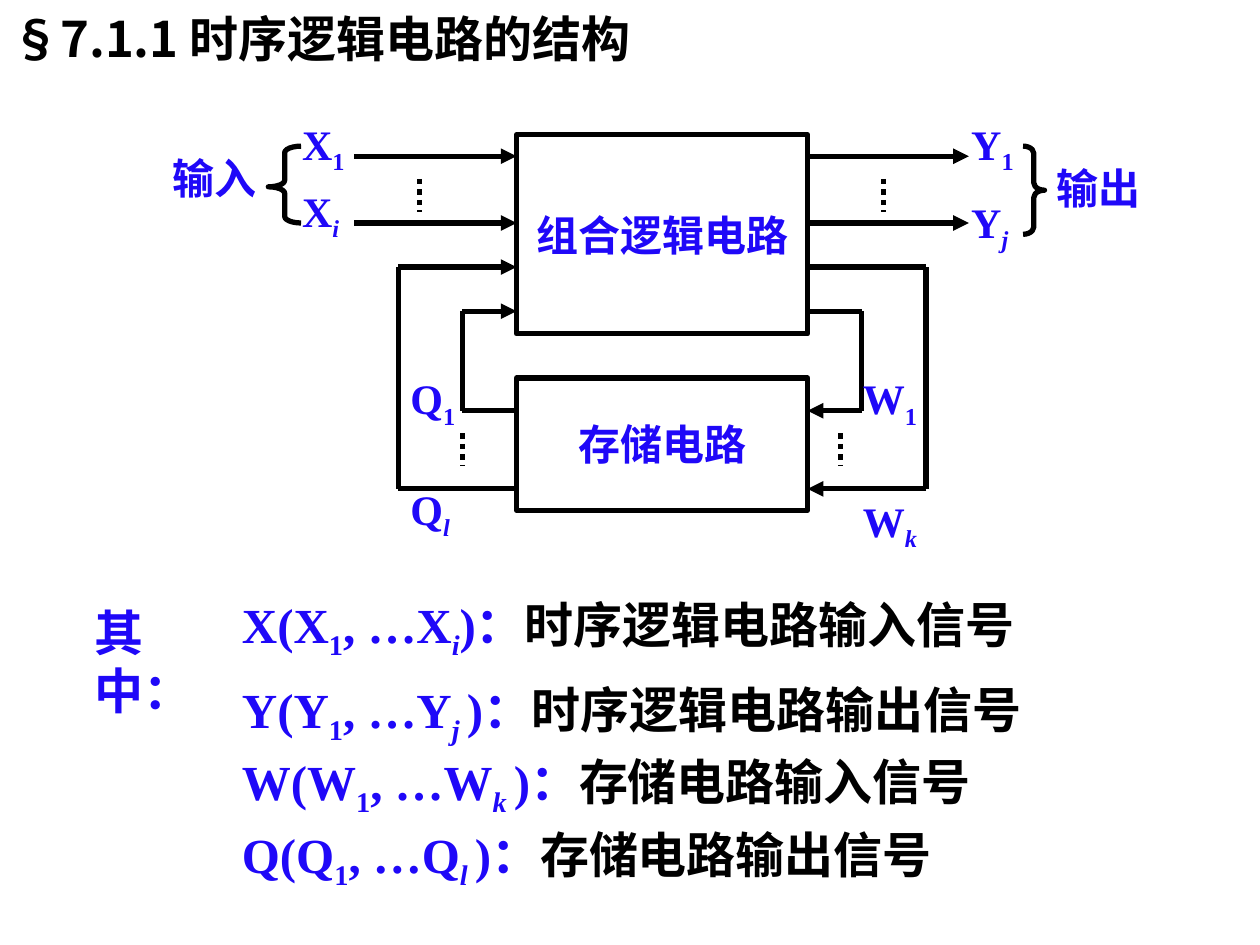
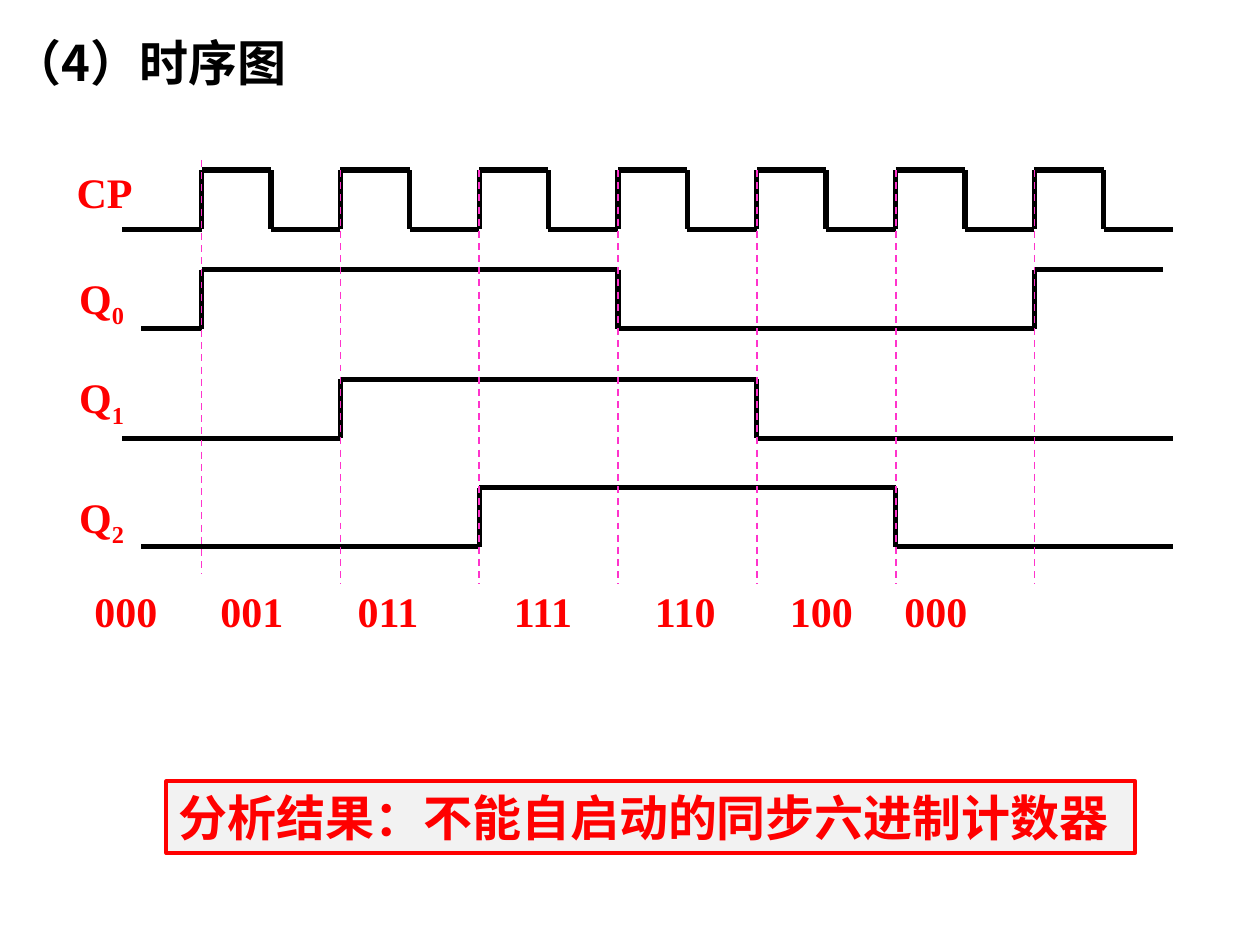
import pptx
import pptx.util
import pptx.dml.color
import pptx.enum.dml
import pptx.enum.shapes
import pptx.enum.text
import pptx.oxml.ns
from lxml import etree

Inches = pptx.util.Inches
Pt = pptx.util.Pt
Shape = pptx.enum.shapes.MSO_SHAPE
Dash = pptx.enum.dml.MSO_LINE
Align = pptx.enum.text.PP_ALIGN
Anchor = pptx.enum.text.MSO_ANCHOR

HUES = {"ink": "000000", "blue": "1F08F8", "red": "FF0000",
        "pink": "FF33CC", "pale": "F2F2F2"}
SANS, SERIF = "Noto Sans CJK SC", "Times New Roman"


class Deck:
    """Holds the style and the current slide, and draws each kind of element."""

    def __init__(self):
        self.prs = pptx.Presentation()
        self.prs.slide_width = Inches(10)
        self.prs.slide_height = Inches(7.5)

    def hue(self, name):
        return pptx.dml.color.RGBColor.from_string(HUES[name])

    def tag(self, parent, name, **attrs):
        return etree.SubElement(parent, pptx.oxml.ns.qn(name), attrs)

    def place(self, shape, box):
        shape.left, shape.top, shape.width, shape.height = map(Inches, box)

    def style(self, para, size, face, hue):
        font = para.font
        font.size, font.name, font.bold = Pt(size), face, True
        font.color.rgb = self.hue(hue)

    def spell(self, para, text):
        for i, part in enumerate(text.split("|")):
            run = para.add_run()
            run.text = part
            if i % 2:
                run.font._element.set("baseline", "-25000")
                if part.strip().isalpha():
                    run.font.italic = True

    def page(self, layout, title, box):
        self.slide = self.prs.slides.add_slide(self.prs.slide_layouts[layout])
        head = self.slide.shapes.title
        self.place(head, box)
        frame = head.text_frame
        frame.auto_size = pptx.enum.text.MSO_AUTO_SIZE.NONE
        frame.vertical_anchor = Anchor.TOP
        frame.text = title
        para = frame.paragraphs[0]
        para.alignment = Align.LEFT
        self.style(para, 28, SANS, "ink")

    def terms(self, box, rows, pitch):
        body = self.slide.placeholders[1]
        self.place(body, box)
        frame = body.text_frame
        frame.auto_size = pptx.enum.text.MSO_AUTO_SIZE.NONE
        for i, (term, note) in enumerate(rows):
            para = frame.add_paragraph() if i else frame.paragraphs[0]
            para.line_spacing = Pt(pitch)
            para.space_before = Pt(7 if i == 1 else 0)
            props = para._p.get_or_add_pPr()
            props.set("marL", "0")
            props.set("indent", "0")
            self.tag(props, "a:buNone")
            self.style(para, 28, SERIF, "blue")
            self.spell(para, term)
            run = para.add_run()
            run.text = note
            run.font.color.rgb = self.hue("ink")

    def label(self, x, y, text, hue, size=24, face=SERIF):
        box = self.slide.shapes.add_textbox(*map(Inches, (x, y, 0.9, 0.5)))
        box.text_frame.word_wrap = False
        para = box.text_frame.paragraphs[0]
        self.style(para, size, face, hue)
        self.spell(para, text)

    def shape(self, kind, box, line="ink", width=3, fill=None):
        shape = self.slide.shapes.add_shape(kind, *map(Inches, box))
        shape.shadow.inherit = False
        if fill:
            shape.fill.solid()
            shape.fill.fore_color.rgb = self.hue(fill)
        else:
            shape.fill.background()
        shape.line.color.rgb = self.hue(line)
        shape.line.width = Pt(width)
        return shape

    def block(self, box, text, hue, size=24, face=SERIF, align=Align.CENTER, **look):
        frame = self.shape(Shape.RECTANGLE, box, **look).text_frame
        frame.word_wrap = False
        frame.vertical_anchor = Anchor.MIDDLE
        para = frame.paragraphs[0]
        para.alignment = align
        self.style(para, size, face, hue)
        self.spell(para, text)

    def brace(self, kind, box, curl, tip):
        shape = self.shape(kind, box)
        shape.adjustments[0], shape.adjustments[1] = curl, tip

    def line(self, start, end, hue="ink", width=3, dash=None, arrow=False):
        line = self.slide.shapes.add_connector(
            pptx.enum.shapes.MSO_CONNECTOR.STRAIGHT, *map(Inches, start + end))
        line.line.color.rgb = self.hue(hue)
        line.line.width = Pt(width)
        if dash:
            line.line.dash_style = dash
        if arrow:
            self.tag(line.line._get_or_add_ln(), "a:tailEnd", type="triangle")
        self.tag(line._element.spPr, "a:effectLst")

    def wire(self, points, arrow=False):
        last = len(points) - 2
        for i, ends in enumerate(zip(points, points[1:])):
            self.line(*ends, arrow=arrow and i == last)


def scheme(deck):
    """Draw the block scheme of a sequential circuit."""
    deck.page(1, "§7.1.1 时序逻辑电路的结构", (-0.01, 0.02, 9.66, 0.7))
    left, right = 4.1, 6.41
    deck.block((left, 1.07, 2.31, 1.58), "组合逻辑电路", "blue")
    deck.block((left, 3, 2.31, 1.05), "存储电路", "blue")
    for y in (1.24, 1.77):
        deck.wire([(2.81, y), (left, y)], arrow=True)
        deck.wire([(right, y), (7.69, y)], arrow=True)
    for near, far, top, low in ((3.16, 7.35, 2.12, 3.88), (3.67, 6.84, 2.47, 3.26)):
        deck.wire([(left, low), (near, low), (near, top), (left, top)], arrow=True)
        deck.wire([(right, top), (far, top), (far, low), (right, low)], arrow=True)
    for x, y in ((3.33, 1.42), (7.01, 1.42), (3.67, 3.44), (6.67, 3.44)):
        deck.line((x, y), (x, y + 0.26), dash=Dash.ROUND_DOT)
    deck.brace(Shape.LEFT_BRACE, (2.13, 1.16, 0.26, 0.61), 0.2, 0.53)
    deck.brace(Shape.RIGHT_BRACE, (8.12, 1.16, 0.17, 0.7), 0.34, 0.5)
    for x, y, text in ((2.3, 0.89, "X|1"), (2.3, 1.42, "X|i"),
                       (7.61, 0.89, "Y|1"), (7.61, 1.51, "Y|j"),
                       (6.75, 2.91, "W|1"), (6.75, 3.88, "W|k"),
                       (3.16, 2.91, "Q|1"), (3.16, 3.79, "Q|l"),
                       (1.27, 1.16, "输入"), (8.29, 1.24, "输出")):
        deck.label(x, y, text, "blue")
    deck.label(0.65, 4.73, "其中：", "blue", 28, SANS)
    deck.terms((1.82, 4.62, 7.62, 2.5), (
        ("X(X|1|, …X|i|)：", "时序逻辑电路输入信号"),
        ("Y(Y|1|, …Y|j |)：", "时序逻辑电路输出信号"),
        ("W(W|1|, …W|k |)：", "存储电路输入信号"),
        ("Q(Q|1|, …Q|l |)：", "存储电路输出信号")), 41.5)


def timing(deck):
    """Draw the timing chart of the counter."""
    deck.page(5, "（4）时序图", (0, 0.21, 8.34, 0.58))
    edges = [1.6 + 6.61 / 6 * k for k in range(7)]
    rise, end = 0.47, 9.31

    clock = [(0.97, 1.82)]
    for x in edges:
        half = x + 0.55
        clock += [(x, 1.82), (x, 1.35), (half, 1.35), (half, 1.82)]
    deck.wire(clock + [(end, 1.82)])

    for start, high, flips, stop in ((1.12, 2.14, (0, 3, 6), 9.23),
                                     (0.97, 3.01, (1, 4), end),
                                     (1.12, 3.87, (2, 5), end)):
        low = high + rise
        points = [(start, low)]
        for i, k in enumerate(flips):
            pair = [(edges[k], low), (edges[k], high)]
            points += pair[::-1] if i % 2 else pair
        deck.wire(points + [(stop, points[-1][1])])

    for k, x in enumerate(edges):
        top = 1.35 if k else 1.27
        deck.line((x, top), (x, top + 3.28), "pink", 1, Dash.DASH)
    for x, y, text in ((0.51, 1.27, "CP"), (0.53, 2.11, "Q|0"),
                       (0.53, 2.9, "Q|1"), (0.53, 3.85, "Q|2")):
        deck.label(x, y, text, "red")
    for x, text in zip((0.65, 1.65, 2.74, 3.98, 5.1, 6.17, 7.08),
                       ("000", "001", "011", "111", "110", "100", "000")):
        deck.label(x, 4.6, text, "red")
    deck.block((1.32, 6.2, 7.69, 0.57), "分析结果：不能自启动的同步六进制计数器",
               "red", 28, SANS, Align.LEFT, line="red", width=2.25, fill="pale")


def main():
    """Build both slides and save them."""
    deck = Deck()
    scheme(deck)
    timing(deck)
    deck.prs.save("out.pptx")


if __name__ == "__main__":
    main()
